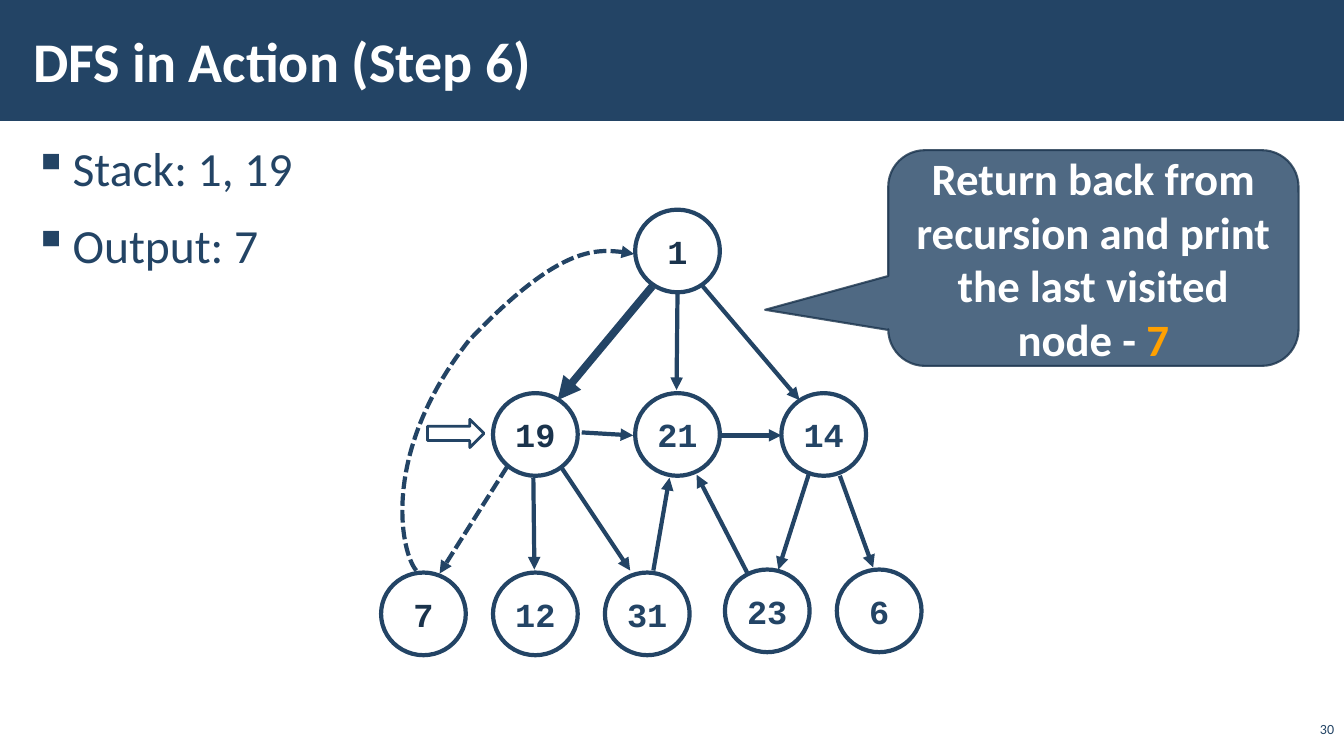
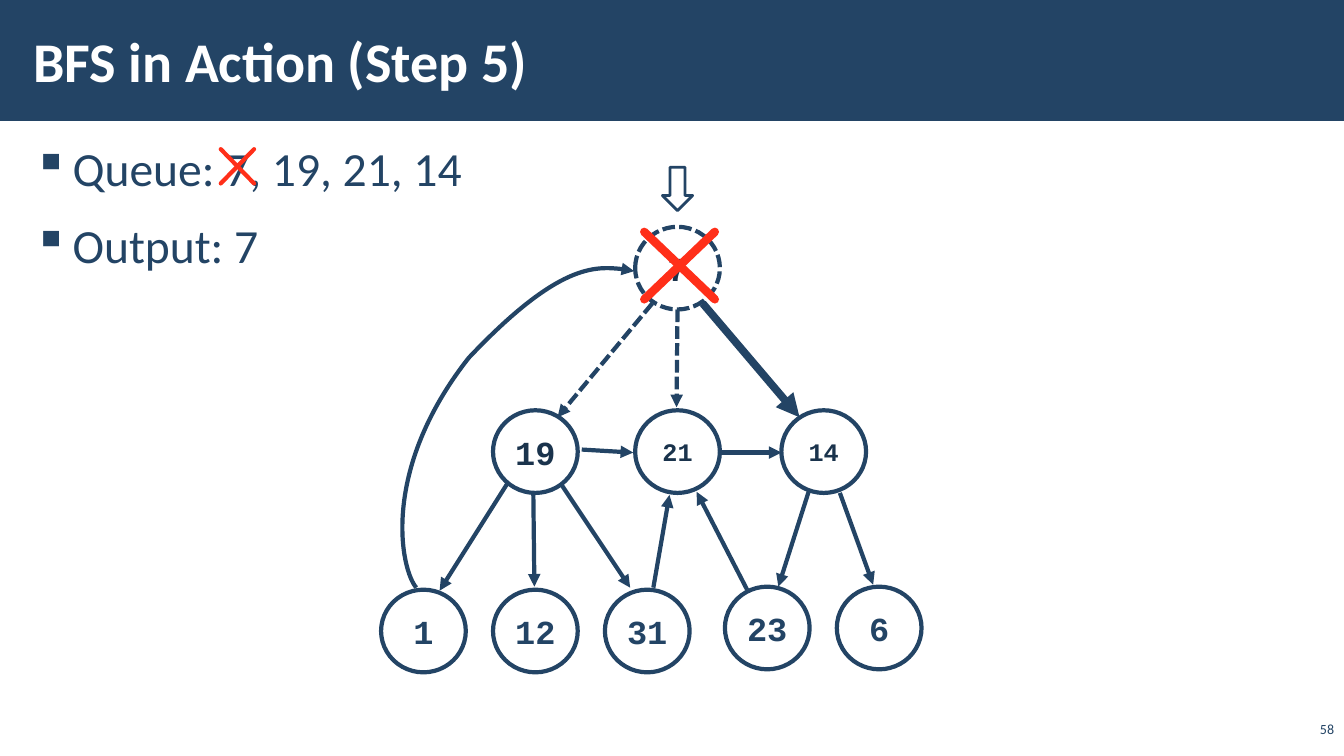
from lxml.etree import SubElement
from pptx import Presentation
from pptx.dml.color import RGBColor
from pptx.enum.dml import MSO_LINE
from pptx.enum.shapes import MSO_CONNECTOR, MSO_SHAPE
from pptx.enum.text import MSO_ANCHOR, PP_ALIGN
from pptx.oxml.ns import qn
from pptx.util import Pt

PX = 9144
NAVY = RGBColor(0x23, 0x44, 0x65)
DARK = RGBColor(0x1A, 0x33, 0x4C)
WHITE = RGBColor(0xFF, 0xFF, 0xFF)
ORANGE = RGBColor(0xFF, 0xA0, 0x00)
RED = RGBColor(0xFF, 0x2F, 0x19)
SANS, MONO = "Calibri", "Courier New"
DASH = MSO_LINE.SQUARE_DOT

NODE_W, NODE_H = 84, 82
NODES = {
    "root": (252, 0),
    "left": (111, 182), "mid": (252, 182), "right": (397, 182),
    "leaf1": (0, 360), "leaf2": (111, 360), "leaf3": (222, 360),
    "leaf4": (341, 357), "leaf5": (452, 357),
}
LABELS = {"left": "19", "mid": "21", "right": "14", "leaf2": "12",
          "leaf3": "31", "leaf4": "23", "leaf5": "6"}
EDGES = {
    ("root", "left"): (269, 76, 175, 189),
    ("root", "mid"): (294, 82, 293, 179),
    ("root", "right"): (319, 76, 415, 189),
    ("left", "mid"): (199, 221, 250, 224),
    ("mid", "right"): (338, 224, 397, 224),
    ("left", "leaf1"): (125, 255, 58, 361),
    ("left", "leaf2"): (151, 266, 152, 357),
    ("left", "leaf3"): (179, 256, 247, 358),
    ("leaf3", "mid"): (270, 358, 286, 266),
    ("leaf4", "mid"): (363, 360, 313, 263),
    ("right", "leaf4"): (424, 263, 394, 357),
    ("right", "leaf5"): (455, 264, 488, 355),
}
BACK_EDGE = [(35, 358), (20, 341), (-2, 243), (87, 130),
             (176, 36), (226, 38), (251, 44)]


def emu(*lengths):
    """Turn px lengths into EMU."""
    return [n * PX for n in lengths]


def set_alpha(fill_parent, percent):
    """Make the solid colour of a fill or line partly transparent."""
    color = fill_parent.find(qn("a:solidFill"))[0]
    SubElement(color, qn("a:alpha"), val=str(percent * 1000))


def style_line(line, color, width, dash=None, arrow=False):
    """Set colour, width, dash and arrowhead of an outline."""
    line.color.rgb = color
    line.width = Pt(width)
    if dash:
        line.dash_style = dash
    if arrow:
        SubElement(line._get_or_add_ln(), qn("a:tailEnd"), type="triangle")


def style_run(r, size, color, font=SANS, bold=False):
    """Set the font of one run."""
    r.font.name, r.font.size, r.font.bold = font, Pt(size), bold
    r.font.color.rgb = color


def add_text(s, box, text, size, color, bold=False, align=PP_ALIGN.LEFT,
             anchor=MSO_ANCHOR.TOP, inset=(10, 5)):
    """Add a wrapped text box with one style and return its frame."""
    tf = s.shapes.add_textbox(*emu(*box)).text_frame
    tf.word_wrap, tf.vertical_anchor = True, anchor
    tf.margin_left = tf.margin_right = inset[0] * PX
    tf.margin_top = tf.margin_bottom = inset[1] * PX
    tf.text = text
    for p in tf.paragraphs:
        p.alignment = align
        for r in p.runs:
            style_run(r, size, color, bold=bold)
    return tf


def add_filled(s, kind, box, fill, alpha, line, width, dash=None):
    """Add a preset shape with a transparent fill and an outline."""
    sp = s.shapes.add_shape(kind, *emu(*box))
    sp.shadow.inherit = False
    sp.fill.solid()
    sp.fill.fore_color.rgb = fill
    set_alpha(sp._element.spPr, alpha)
    style_line(sp.line, line, width, dash)
    return sp


def add_line(s, ends, color, width, dash=None, arrow=False):
    """Add a straight connector between two points."""
    c = s.shapes.add_connector(MSO_CONNECTOR.STRAIGHT, *emu(*ends))
    style_line(c.line, color, width, dash, arrow)
    SubElement(c._element.spPr, qn("a:effectLst"))
    return c


def add_cross(s, box, width):
    """Strike out a box with two red round-capped lines."""
    x, y, w, h = box
    for ends in ((x, y, x + w, y + h), (x + w, y, x, y + h)):
        c = add_line(s, ends, RED, width)
        c.line._get_or_add_ln().set("cap", "rnd")


def add_curve(s, points, dash):
    """Draw an arrow along cubic curves given as a start and control points."""
    start, *rest = [tuple(emu(*point)) for point in points]
    builder = s.shapes.build_freeform(*start)
    builder.add_line_segments(rest, close=False)
    sp = builder.convert_to_shape()
    sp.shadow.inherit = False
    sp.fill.background()
    style_line(sp.line, NAVY, 3, dash, arrow=True)
    outline = next(sp._element.iter(qn("a:path")))
    steps = outline.findall(qn("a:lnTo"))
    for i in range(0, len(steps), 3):
        curve = SubElement(outline, qn("a:cubicBezTo"))
        for step in steps[i:i + 3]:
            curve.append(step[0])
            outline.remove(step)


def add_node(s, box, label, active, dash, size):
    """Add one graph node."""
    sp = add_filled(s, MSO_SHAPE.OVAL, box, WHITE, 70 if active else 50,
                    NAVY, 3, dash)
    tf = sp.text_frame
    tf.word_wrap, tf.vertical_anchor = False, MSO_ANCHOR.MIDDLE
    tf.text = label
    p = tf.paragraphs[0]
    p.alignment = PP_ALIGN.CENTER
    style_run(p.runs[0], size, DARK if active else NAVY, MONO, True)


def add_graph(s, x, y, labels, active, thick, dashed, small=()):
    """Draw the graph with its top left corner at x, y."""
    for edge, (x1, y1, x2, y2) in EDGES.items():
        add_line(s, (x + x1, y + y1, x + x2, y + y2), NAVY,
                 5.5 if edge == thick else 3,
                 DASH if edge in dashed else None, arrow=True)
    add_curve(s, [(x + dx, y + dy) for dx, dy in BACK_EDGE],
              DASH if ("leaf1", "root") in dashed else None)
    for name, (dx, dy) in NODES.items():
        add_node(s, (x + dx, y + dy, NODE_W, NODE_H), (LABELS | labels)[name],
                 name in active, DASH if name in dashed else None,
                 18 if name in small else 24)


def add_bullets(s, box, lines):
    """Add the square-bulleted list."""
    tf = add_text(s, box, "\n".join(lines), 34, NAVY, inset=(12, 4))
    for i, p in enumerate(tf.paragraphs):
        p.line_spacing = 1.05
        p.space_before, p.space_after = Pt(6 if i else 0), Pt(6)
        pPr = p._p.get_or_add_pPr()
        pPr.set("marL", str(39 * PX))
        pPr.set("indent", str(-39 * PX))
        SubElement(pPr, qn("a:buChar"), char="▪")


def add_callout(s, box, text, answer):
    """Add the speech callout that ends in a highlighted answer."""
    sp = add_filled(s, MSO_SHAPE.ROUNDED_RECTANGULAR_CALLOUT, box, NAVY, 80,
                    DARK, 1.5)
    set_alpha(sp.line._get_or_add_ln(), 80)
    for i, value in enumerate((-0.8, 0.24, 0.17)):
        sp.adjustments[i] = value
    tf = sp.text_frame
    tf.word_wrap, tf.vertical_anchor = True, MSO_ANCHOR.MIDDLE
    p = tf.paragraphs[0]
    p.alignment = PP_ALIGN.CENTER
    for part, color in ((text, WHITE), (answer, ORANGE)):
        r = p.add_run()
        r.text = part
        style_run(r, 32, color, bold=True)


def add_base(prs, title, number, lines):
    """Add a slide with title band, bullets and page number."""
    s = prs.slides.add_slide(prs.slide_layouts[6])
    band = s.shapes.add_shape(MSO_SHAPE.RECTANGLE, *emu(0, 0, 1333, 120))
    band.shadow.inherit = False
    band.fill.solid()
    band.fill.fore_color.rgb = NAVY
    band.line.fill.background()
    add_bullets(s, (21, 131, 1292, 605), lines)
    add_text(s, (21, 11, 1063, 97), title, 40, WHITE, True,
             anchor=MSO_ANCHOR.MIDDLE, inset=(12, 4))
    add_text(s, (1286, 714, 47, 22), number, 10, NAVY,
             align=PP_ALIGN.RIGHT, anchor=MSO_ANCHOR.BOTTOM)
    return s


def add_dfs_slide(prs):
    """Build the depth-first search step."""
    s = add_base(prs, "DFS in Action (Step 6)", "30",
                 ["Stack: 1, 19", "Output: 7"])
    add_filled(s, MSO_SHAPE.RIGHT_ARROW, (424, 416, 56, 28), WHITE, 50, NAVY, 2)
    add_graph(s, 378, 208, {"root": "1", "leaf1": "7"},
              active={"root", "left", "leaf1"}, thick=("root", "left"),
              dashed={("left", "leaf1"), ("leaf1", "root")})
    add_callout(s, (881, 149, 407, 214),
                "Return back from recursion and print the last visited node - ",
                "7")


def add_bfs_slide(prs):
    """Build the breadth-first search step."""
    s = add_base(prs, "BFS in Action (Step 5)", "58",
                 ["Queue: 7, 19, 21, 14", "Output: 7"])
    add_cross(s, (219, 148, 33, 34), 3)
    x, y = 378, 225
    add_graph(s, x, y, {"root": "7", "leaf1": "1"},
              active={"root", "left", "mid", "right"}, thick=("root", "right"),
              dashed={"root", ("root", "left"), ("root", "mid")},
              small={"mid", "right"})
    add_cross(s, (x + 261, y + 5, 70, 67), 6)
    add_filled(s, MSO_SHAPE.DOWN_ARROW, (657, 166, 30, 43), WHITE, 50, NAVY, 2)


def main():
    """Build and save the presentation."""
    prs = Presentation()
    prs.slide_width, prs.slide_height = emu(1333, 750)
    add_dfs_slide(prs)
    add_bfs_slide(prs)
    prs.save("out.pptx")


if __name__ == "__main__":
    main()
